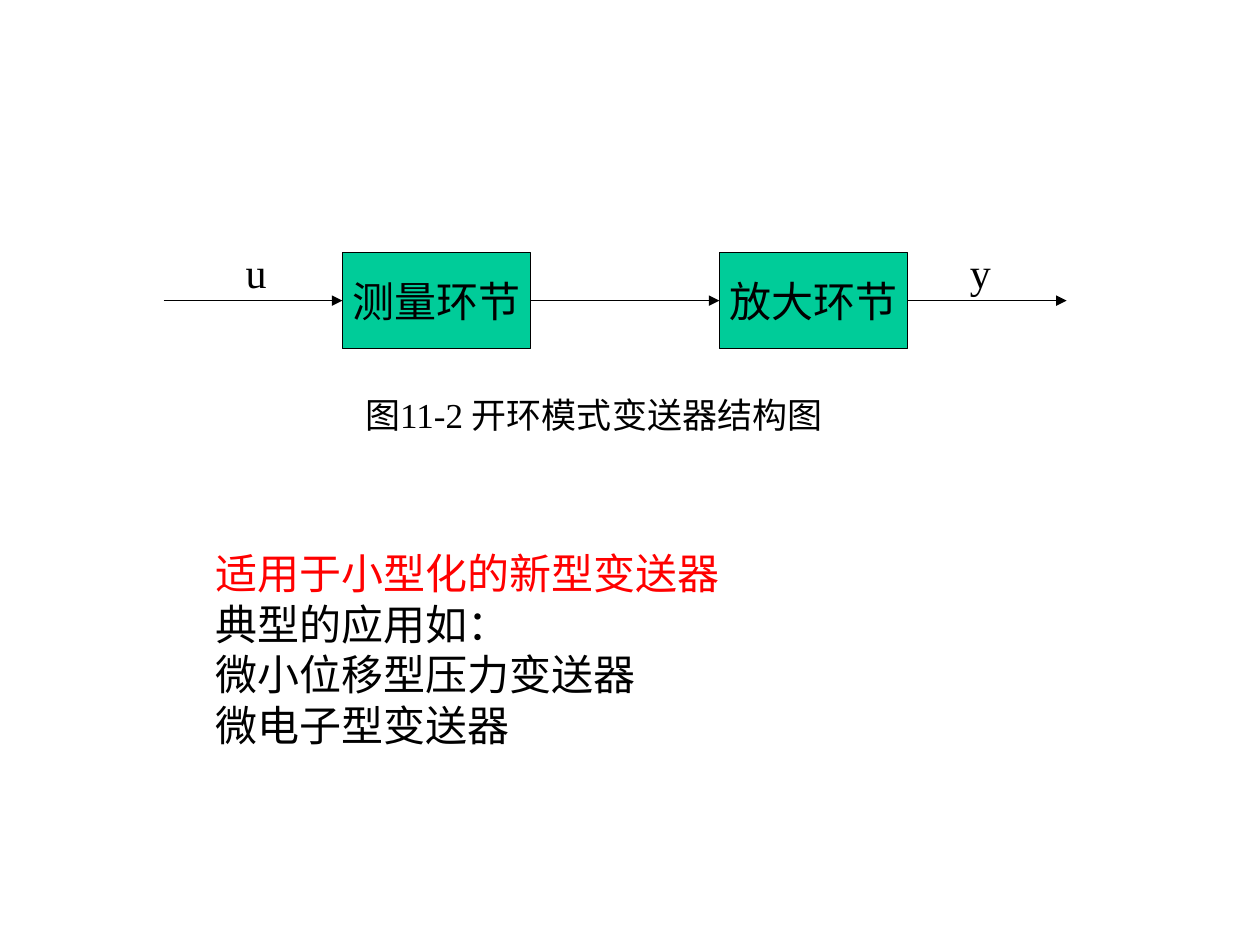
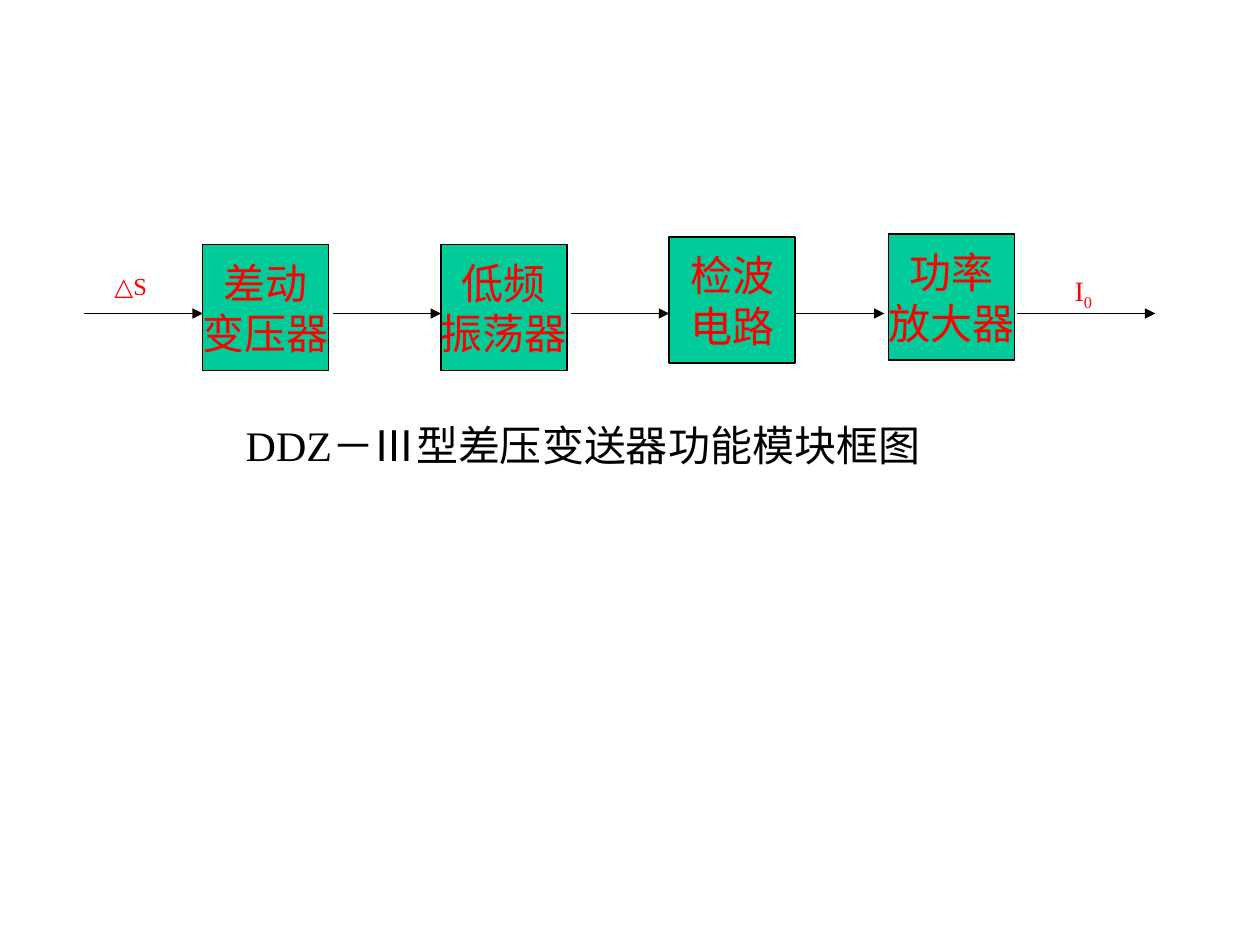
import pptx
import pptx.dml.color
import pptx.enum.shapes
import pptx.enum.text
import pptx.oxml.ns
import pptx.util
from lxml import etree
from pptx.util import Cm

COLORS = {"block": "00CC99", "ink": "000000", "accent": "FF0000"}
FONT = "Times New Roman"
LINE_WIDTH = pptx.util.Pt(0.75)
ALIGN = pptx.enum.text.PP_ALIGN


def rgb(name):
    return pptx.dml.color.RGBColor.from_string(COLORS[name])


def write(frame, text, size=24, colors=("ink",), align=ALIGN.LEFT, wrap=False, subscript=""):
    """Fill a frame line by line; the last colour serves all remaining lines."""
    frame.word_wrap = wrap
    for index, line in enumerate(text.split("\n")):
        paragraph = frame.add_paragraph() if index else frame.paragraphs[0]
        paragraph.alignment = align
        for part in filter(None, (line, subscript)):
            run = paragraph.add_run()
            run.text = part
            run.font.name = FONT
            run.font.size = pptx.util.Pt(size)
            run.font.color.rgb = rgb(colors[min(index, len(colors) - 1)])
        if subscript:
            run._r.get_or_add_rPr().set("baseline", "-25000")


class Diagram:
    def __init__(self):
        self.deck = pptx.Presentation()
        self.deck.slide_width = Cm(25.4)
        self.deck.slide_height = Cm(19.05)
        self.slide = None

    def new_slide(self):
        blank = self.deck.slide_layouts[6]
        self.slide = self.deck.slides.add_slide(blank)

    def block(self, text, left, top, width, height, color="ink"):
        shape = self.slide.shapes.add_shape(
            pptx.enum.shapes.MSO_SHAPE.RECTANGLE, Cm(left), Cm(top), Cm(width), Cm(height))
        shape.shadow.inherit = False
        shape.fill.solid()
        shape.fill.fore_color.rgb = rgb("block")
        shape.line.color.rgb = rgb("ink")
        shape.line.width = LINE_WIDTH
        shape.text_frame.vertical_anchor = pptx.enum.text.MSO_ANCHOR.MIDDLE
        write(shape.text_frame, text, colors=(color,), align=ALIGN.CENTER)
        return shape

    def label(self, text, left, top, width, height, **style):
        box = self.slide.shapes.add_textbox(Cm(left), Cm(top), Cm(width), Cm(height))
        box.text_frame.auto_size = pptx.enum.text.MSO_AUTO_SIZE.SHAPE_TO_FIT_TEXT
        write(box.text_frame, text, **style)

    def arrow(self, start, end, y, source=None, target=None):
        """Draw a level arrow, joined to the source's right and the target's left side."""
        line = self.slide.shapes.add_connector(
            pptx.enum.shapes.MSO_CONNECTOR.STRAIGHT, Cm(start), Cm(y), Cm(end), Cm(y))
        line.line.color.rgb = rgb("ink")
        line.line.width = LINE_WIDTH
        etree.SubElement(line.line._get_or_add_ln(), pptx.oxml.ns.qn("a:tailEnd"), type="triangle")
        etree.SubElement(line._element.spPr, pptx.oxml.ns.qn("a:effectLst"))
        if source is not None:
            line.begin_connect(source, 3)
        if target is not None:
            line.end_connect(target, 1)


def open_loop_slide(diagram):
    diagram.new_slide()
    axis, width, height = 6.06, 3.8, 1.94
    measuring_left, amplifying_left = 6.9, 14.5
    top = axis - height / 2
    measuring = diagram.block("测量环节", measuring_left, top, width, height)
    amplifying = diagram.block("放大环节", amplifying_left, top, width, height)

    diagram.arrow(3.3, measuring_left, axis, target=measuring)
    diagram.arrow(measuring_left + width, amplifying_left, axis, measuring, amplifying)
    diagram.arrow(amplifying_left + width, 21.5, axis, source=amplifying)

    for signal, left in (("u", 4.7), ("y", 19.3)):
        diagram.label(signal, left, 4.85, 0.91, 1.27)
    diagram.label("图11-2 开环模式变送器结构图", 7.11, 7.8, 10.08, 1.12, size=20)
    diagram.label("适用于小型化的新型变送器\n典型的应用如：\n微小位移型压力变送器\n微电子型变送器",
                  4.09, 10.92, 13.46, 4.32, colors=("accent", "ink"), wrap=True)


def module_slide(diagram):
    diagram.new_slide()
    axis, side = 6.32, 2.54
    modules = (("差动\n变压器", 4.09, 4.93), ("低频\n振荡器", 8.89, 4.93),
               ("检波\n电路", 13.49, 4.78), ("功率\n放大器", 17.91, 4.72))
    for text, left, top in modules:
        diagram.block(text, left, top, side, side, color="accent")

    for start, end in ((1.7, 4.09), (6.71, 8.89), (11.51, 13.49), (16.03, 17.83), (20.5, 23.29)):
        diagram.arrow(start, end, axis)

    signal = {"colors": ("accent",), "align": ALIGN.CENTER}
    diagram.label("△S", 1.9, 5.33, 1.47, 0.86, size=14, wrap=True, **signal)
    diagram.label("I", 21.41, 5.38, 0.86, 1.04, size=16, subscript="0", **signal)
    diagram.label("DDZ－Ⅲ型差压变送器功能模块框图", 4.6, 8.33, 14.3, 1.27, align=ALIGN.CENTER)


def main():
    diagram = Diagram()
    open_loop_slide(diagram)
    module_slide(diagram)
    diagram.deck.save("out.pptx")


if __name__ == "__main__":
    main()
